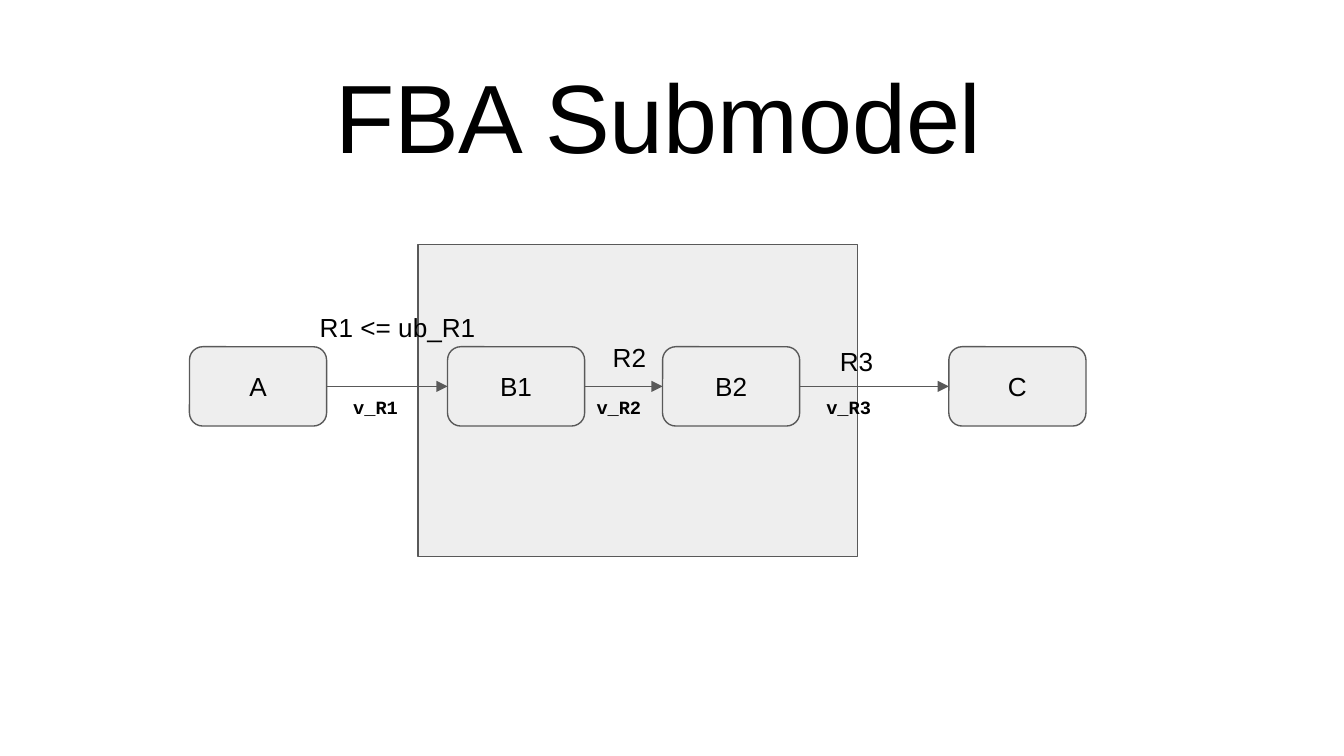
from typing import NamedTuple

from lxml.etree import SubElement
from pptx import Presentation
from pptx.dml.color import RGBColor
from pptx.enum.shapes import MSO_CONNECTOR as Connector, MSO_SHAPE as Preset
from pptx.enum.text import MSO_ANCHOR as Anchor, PP_ALIGN as Align
from pptx.oxml.ns import qn
from pptx.util import Inches, Pt

COLORS = {"fill": "EEEEEE", "line": "595959", "text": "000000"}
UNIT = 0.1  # inches per grid column and row
SLIDE_COLUMNS, SLIDE_ROWS = 100, 56.25
NODE_TOP, NODE_WIDTH, NODE_HEIGHT = 25.8, 10.2, 5.9
LABEL_WIDTH, LABEL_HEIGHT, FLUX_TOP = 9.1, 5, 28.6
RIGHT_SIDE, LEFT_SIDE = 3, 1


class Area(NamedTuple):
    column: float
    row: float
    columns: float
    rows: float


class TextStyle(NamedTuple):
    size: float
    font: str = "Arial"
    bold: bool = False
    align: Align = Align.LEFT
    anchor: Anchor = Anchor.TOP


class Reaction(NamedTuple):
    source: str
    target: str
    label: str
    label_area: Area
    flux: str
    flux_column: float


TITLE = TextStyle(52, align=Align.CENTER, anchor=Anchor.BOTTOM)
NODE = TextStyle(14, align=Align.CENTER, anchor=Anchor.MIDDLE)
LABEL = TextStyle(14)
FLUX = TextStyle(10, "Courier New", bold=True)

SUBMODEL_AREA = Area(31.1, 18.2, 32.7, 23.2)
TITLE_AREA = Area(3.4, 1.1, 93.2, 12.8)
NODE_COLUMNS = {"A": 14.1, "B1": 33.3, "B2": 49.3, "C": 70.6}
REACTIONS = [
    Reaction("A", "B1", "R1 <= ub_R1", Area(22.8, 22.2, 14.2, LABEL_HEIGHT), "v_R1", 25.3),
    Reaction("B1", "B2", "R2", Area(44.6, 24.4, LABEL_WIDTH, LABEL_HEIGHT), "v_R2", 43.4),
    Reaction("B2", "C", "R3", Area(61.5, 24.7, LABEL_WIDTH, 6.6), "v_R3", 60.5),
]


def color(name: str) -> RGBColor:
    return RGBColor.from_string(COLORS[name])


def place(area: Area) -> list:
    """Turn grid units into left, top, width and height."""
    return [Inches(value * UNIT) for value in area]


def write(shape, text: str, style: TextStyle) -> None:
    frame = shape.text_frame
    frame.text = text
    frame.word_wrap = True
    frame.vertical_anchor = style.anchor
    frame.margin_left = frame.margin_right = Inches(0.1)
    frame.margin_top = frame.margin_bottom = Inches(0.1)
    paragraph = frame.paragraphs[0]
    paragraph.alignment = style.align
    font = paragraph.runs[0].font
    font.name, font.size, font.bold = style.font, Pt(style.size), style.bold
    font.color.rgb = color("text")


def set_line(line) -> None:
    line.color.rgb = color("line")
    line.width = Pt(0.75)


def add_box(slide, preset: Preset, area: Area):
    shape = slide.shapes.add_shape(preset, *place(area))
    shape.shadow.inherit = False
    shape.fill.solid()
    shape.fill.fore_color.rgb = color("fill")
    set_line(shape.line)
    return shape


def add_text(slide, area: Area, text: str, style: TextStyle) -> None:
    write(slide.shapes.add_textbox(*place(area)), text, style)


def add_node(slide, name: str, column: float):
    area = Area(column, NODE_TOP, NODE_WIDTH, NODE_HEIGHT)
    node = add_box(slide, Preset.ROUNDED_RECTANGLE, area)
    write(node, name, NODE)
    return node


def add_arrow(slide, source, target) -> None:
    arrow = slide.shapes.add_connector(Connector.STRAIGHT, 0, 0, 0, 0)
    arrow.begin_connect(source, RIGHT_SIDE)
    arrow.end_connect(target, LEFT_SIDE)
    set_line(arrow.line)
    properties = arrow.line._get_or_add_ln()
    SubElement(properties, qn("a:tailEnd"), type="triangle", w="med", len="med")
    SubElement(arrow._element.spPr, qn("a:effectLst"))


def main() -> None:
    presentation = Presentation()
    presentation.slide_width = Inches(SLIDE_COLUMNS * UNIT)
    presentation.slide_height = Inches(SLIDE_ROWS * UNIT)
    slide = presentation.slides.add_slide(presentation.slide_layouts[6])

    add_box(slide, Preset.RECTANGLE, SUBMODEL_AREA)
    add_text(slide, TITLE_AREA, "FBA Submodel ", TITLE)
    nodes = {name: add_node(slide, name, column) for name, column in NODE_COLUMNS.items()}
    for reaction in REACTIONS:
        add_arrow(slide, nodes[reaction.source], nodes[reaction.target])
        add_text(slide, reaction.label_area, reaction.label, LABEL)
        flux_area = Area(reaction.flux_column, FLUX_TOP, LABEL_WIDTH, LABEL_HEIGHT)
        add_text(slide, flux_area, reaction.flux, FLUX)

    presentation.save("out.pptx")


if __name__ == "__main__":
    main()
